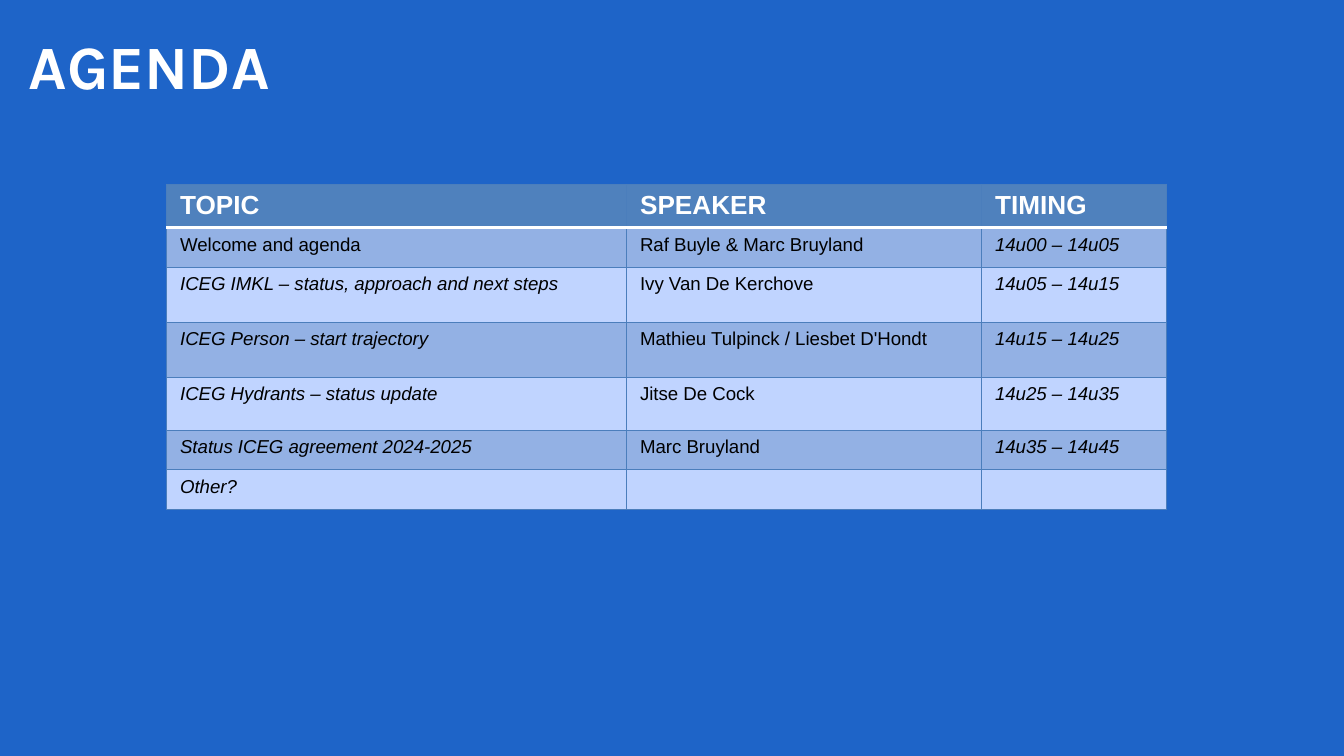
from lxml import etree
from pptx import Presentation
from pptx.dml.color import RGBColor
from pptx.enum.text import MSO_ANCHOR, PP_ALIGN
from pptx.oxml.ns import qn
from pptx.util import Cm, Pt

LEFT = PP_ALIGN.LEFT
MIDDLE = MSO_ANCHOR.MIDDLE
TITLE_ONLY = 5

COLORS = {
    "background": "1E64C8",
    "header": "4F81BD",
    "odd": "93B1E4",
    "even": "C0D4FF",
    "grid": "4B7EBC",
    "white": "FFFFFF",
    "black": "000000",
}
HEADER = {"name": "Arial", "size": Pt(14), "bold": True, "italic": False}
BODY = {"name": "Arial", "size": Pt(10), "bold": False, "italic": False}
TITLE = {"name": "Karla", "size": Pt(33), "bold": True}

AGENDA = [
    ("TOPIC", "SPEAKER", "TIMING"),
    ("Welcome and agenda", "Raf Buyle & Marc Bruyland", "14u00 – 14u05"),
    ("ICEG IMKL – status, approach and next steps", "Ivy Van De Kerchove", "14u05 – 14u15"),
    ("ICEG Person – start trajectory", "Mathieu Tulpinck / Liesbet D'Hondt", "14u15 – 14u25"),
    ("ICEG Hydrants – status update", "Jitse De Cock", "14u25 – 14u35"),
    ("Status ICEG agreement 2024-2025", "Marc Bruyland", "14u35 – 14u45"),
    ("Other?", "", ""),
]
COLUMN_SHARES = (0.46, 0.355, 0.185)
ROW_HEIGHTS = (0.82, 0.75, 1.04, 1.04, 1.0, 0.75, 0.75)


def rgb(name):
    return RGBColor.from_string(COLORS[name])


def format_font(font, values, color):
    for key, value in values.items():
        setattr(font, key, value)
    font.color.rgb = rgb(color)


def set_border(cell, index, side, color, width):
    ln = etree.Element(qn("a:" + side), w=str(Pt(width)))
    fill = etree.SubElement(ln, qn("a:solidFill"))
    etree.SubElement(fill, qn("a:srgbClr"), val=COLORS[color])
    cell._tc.get_or_add_tcPr().insert(index, ln)


def add_title(s, text, left, top, width, height):
    sp = s.shapes.title
    sp.left, sp.top, sp.width, sp.height = Cm(left), Cm(top), Cm(width), Cm(height)
    tf = sp.text_frame
    tf.vertical_anchor = MIDDLE
    for side in ("left", "top", "right", "bottom"):
        setattr(tf, "margin_" + side, Cm(0.13))
    p = tf.paragraphs[0]
    p.alignment = LEFT
    r = p.add_run()
    r.text = text
    format_font(r.font, TITLE, "white")


def fill_cell(cell, text, row, column):
    header = row == 0
    cell.fill.solid()
    cell.fill.fore_color.rgb = rgb("header" if header else "odd" if row % 2 else "even")
    p = cell.text_frame.paragraphs[0]
    if text:
        r = p.add_run()
        r.text = text
        format_font(r.font, HEADER if header else BODY, "white" if header else "black")
        r.font.italic = column == 2 and row > 0 or column == 0 and row > 1
    else:
        etree.SubElement(p._p, qn("a:endParaRPr"), sz="1000")
    for index, side in enumerate(("lnL", "lnR", "lnT", "lnB")):
        divider = (row, side) in ((0, "lnB"), (1, "lnT"))
        color, width = ("white", 2) if divider else ("grid", 0.75)
        set_border(cell, index, side, color, width)


def add_agenda(s, rows, left, top, width, height):
    table = s.shapes.add_table(
        len(rows), len(rows[0]), Cm(left), Cm(top), Cm(width), Cm(height)
    ).table
    for column, share in zip(table.columns, COLUMN_SHARES):
        column.width = Cm(width * share)
    for row, row_height in zip(table.rows, ROW_HEIGHTS):
        row.height = Cm(row_height)
    for i, row in enumerate(rows):
        for j, text in enumerate(row):
            fill_cell(table.cell(i, j), text, i, j)


def main():
    prs = Presentation()
    prs.slide_width, prs.slide_height = Cm(25.4), Cm(14.29)
    s = prs.slides.add_slide(prs.slide_layouts[TITLE_ONLY])
    s.background.fill.solid()
    s.background.fill.fore_color.rgb = rgb("background")
    add_title(s, "AGENDA", 0.41, 0, 22.86, 2.46)
    add_agenda(s, AGENDA, 3.15, 3.48, 18.9, sum(ROW_HEIGHTS))
    prs.save("out.pptx")


if __name__ == "__main__":
    main()
